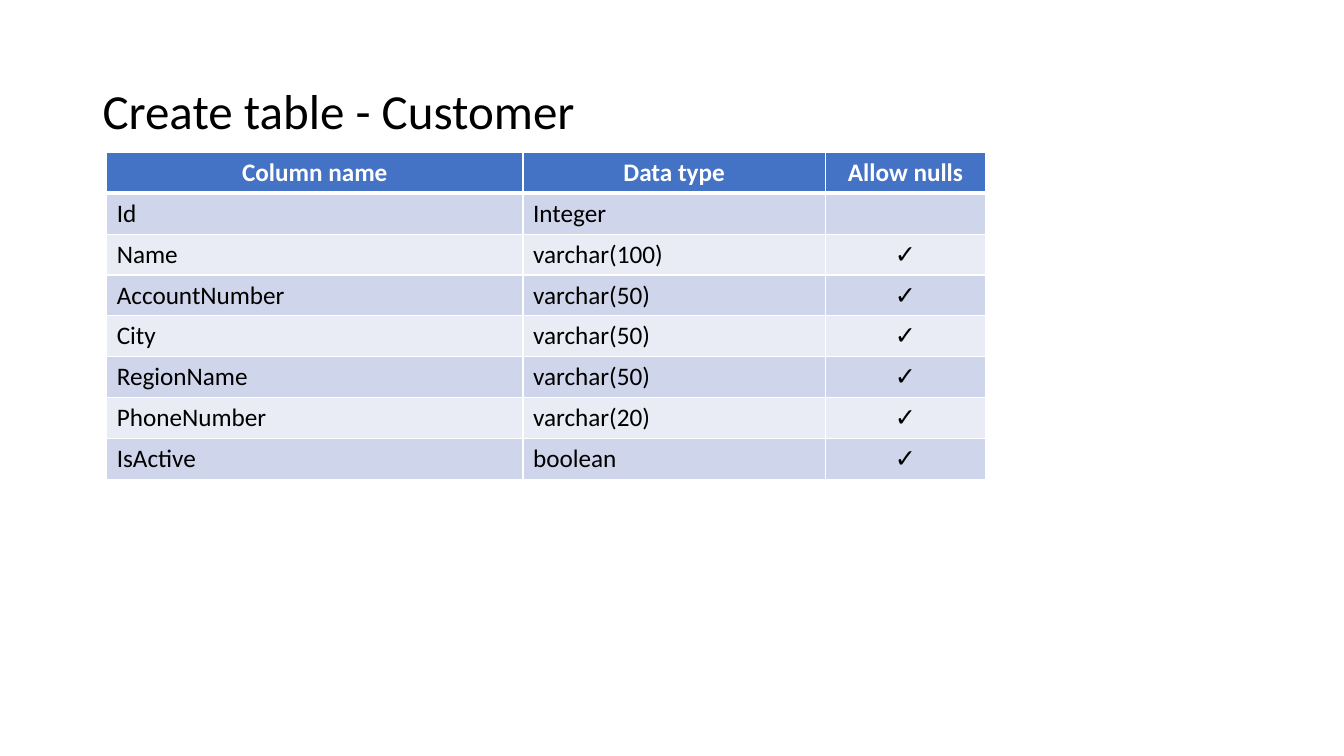
from dataclasses import dataclass

from lxml.etree import SubElement
from pptx import Presentation
from pptx.dml.color import RGBColor
from pptx.enum.text import MSO_ANCHOR, MSO_AUTO_SIZE, PP_ALIGN
from pptx.oxml.ns import qn
from pptx.slide import Slide
from pptx.table import _Cell as Cell
from pptx.text.text import _Paragraph as Paragraph
from pptx.util import Cm, Pt

FONT = "Calibri"
COLOURS = {
    "text": "000000",
    "header": "4472C4",
    "odd_row": "CFD5EA",
    "even_row": "E9EBF5",
    "white": "FFFFFF",
}
ROW_HEIGHT = 1.03
CHECK = "✓"


@dataclass(frozen=True)
class TableColumn:
    heading: str
    width: float
    align: PP_ALIGN


@dataclass(frozen=True)
class Field:
    name: str
    data_type: str
    nullable: bool = True

    def texts(self) -> list[str]:
        """Return the cell texts of this field."""
        return [self.name, self.data_type, CHECK if self.nullable else ""]


COLUMNS = [
    TableColumn("Column name", 10.49, PP_ALIGN.LEFT),
    TableColumn("Data type", 7.62, PP_ALIGN.LEFT),
    TableColumn("Allow nulls", 4.04, PP_ALIGN.CENTER),
]
FIELDS = [
    Field("Id", "Integer", nullable=False),
    Field("Name", "varchar(100)"),
    Field("AccountNumber", "varchar(50)"),
    Field("City", "varchar(50)"),
    Field("RegionName", "varchar(50)"),
    Field("PhoneNumber", "varchar(20)"),
    Field("IsActive", "boolean"),
]


def style_paragraph(paragraph: Paragraph, size: float, colour: str, align: PP_ALIGN, bold: bool = False) -> None:
    """Set the alignment and font of a paragraph."""
    paragraph.alignment = align
    font = paragraph.font
    font.name, font.size, font.bold = FONT, Pt(size), bold
    font.color.rgb = RGBColor.from_string(COLOURS[colour])


def add_borders(cell: Cell, top: float, bottom: float) -> None:
    """Draw white borders round a cell, with widths in points."""
    properties = cell._tc.get_or_add_tcPr()
    for side, width in {"lnL": 1, "lnR": 1, "lnT": top, "lnB": bottom}.items():
        line = SubElement(properties, qn(f"a:{side}"), w=str(Pt(width)))
        fill = SubElement(line, qn("a:solidFill"))
        SubElement(fill, qn("a:srgbClr"), val=COLOURS["white"])


def fill_cell(cell: Cell, text: str, row: int, align: PP_ALIGN) -> None:
    """Write and format one cell according to its row."""
    is_header = row == 0
    background = "header" if is_header else "odd_row" if row % 2 else "even_row"
    add_borders(cell, top=3 if row == 1 else 1, bottom=3 if is_header else 1)
    cell.fill.solid()
    cell.fill.fore_color.rgb = RGBColor.from_string(COLOURS[background])
    cell.text = text
    style_paragraph(
        cell.text_frame.paragraphs[0],
        18,
        "white" if is_header else "text",
        PP_ALIGN.CENTER if is_header else align,
        bold=is_header,
    )


def add_title(slide: Slide, text: str) -> None:
    """Place and format the slide title."""
    title = slide.shapes.title
    title.left, title.top, title.width, title.height = Cm(2.33), Cm(1.88), Cm(29.21), Cm(1.96)
    frame = title.text_frame
    frame.text = text
    frame.auto_size = MSO_AUTO_SIZE.NONE
    frame.vertical_anchor = MSO_ANCHOR.MIDDLE
    paragraph = frame.paragraphs[0]
    paragraph.line_spacing = 0.9
    style_paragraph(paragraph, 35, "text", PP_ALIGN.LEFT)


def add_field_table(slide: Slide) -> None:
    """Add the table that lists the fields."""
    rows = [[column.heading for column in COLUMNS], *(field.texts() for field in FIELDS)]
    width = sum(column.width for column in COLUMNS)
    table = slide.shapes.add_table(
        len(rows), len(COLUMNS), Cm(2.69), Cm(3.84), Cm(width), Cm(ROW_HEIGHT * len(rows))
    ).table
    for table_column, column in zip(table.columns, COLUMNS):
        table_column.width = Cm(column.width)
    for row, texts in enumerate(rows):
        table.rows[row].height = Cm(ROW_HEIGHT)
        for index, (text, column) in enumerate(zip(texts, COLUMNS)):
            fill_cell(table.cell(row, index), text, row, column.align)


def main() -> None:
    """Build and save the presentation."""
    presentation = Presentation()
    presentation.slide_width, presentation.slide_height = Cm(33.87), Cm(19.05)
    slide = presentation.slides.add_slide(presentation.slide_layouts[5])
    add_title(slide, "Create table - Customer")
    add_field_table(slide)
    presentation.save("out.pptx")


if __name__ == "__main__":
    main()
